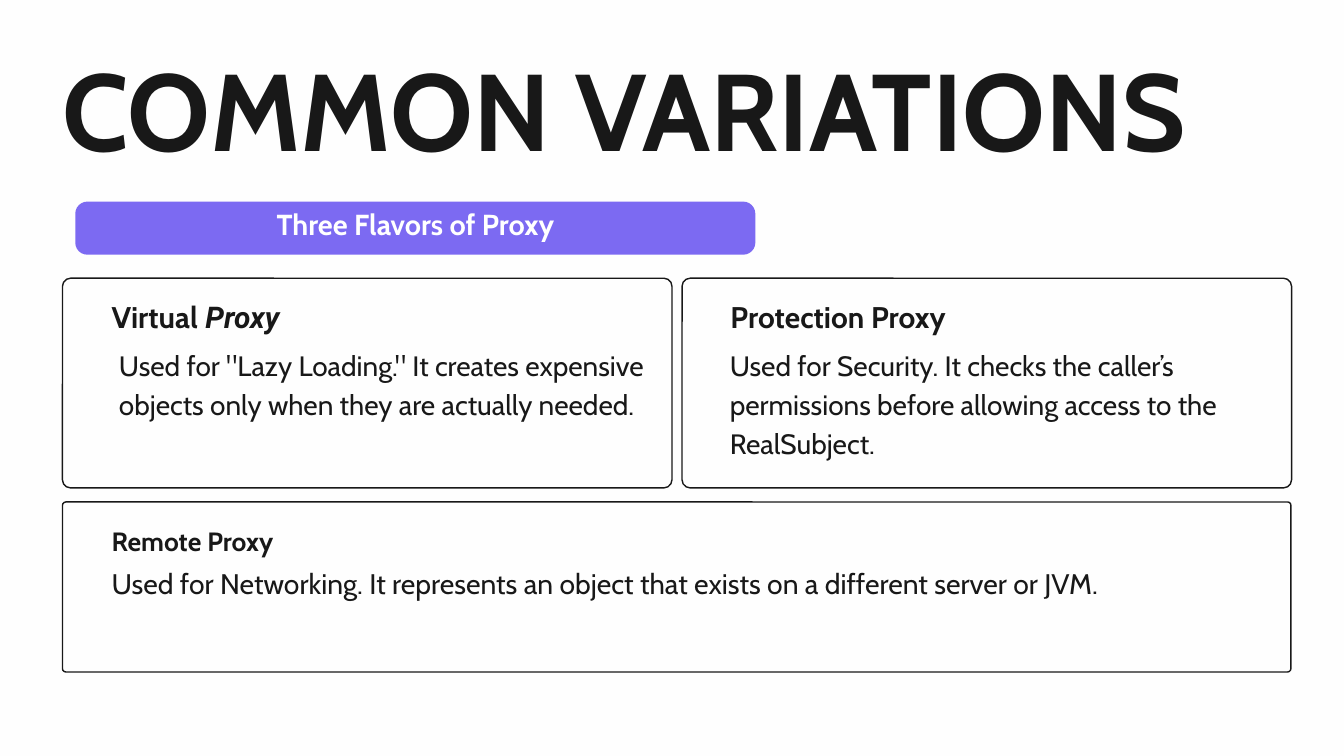
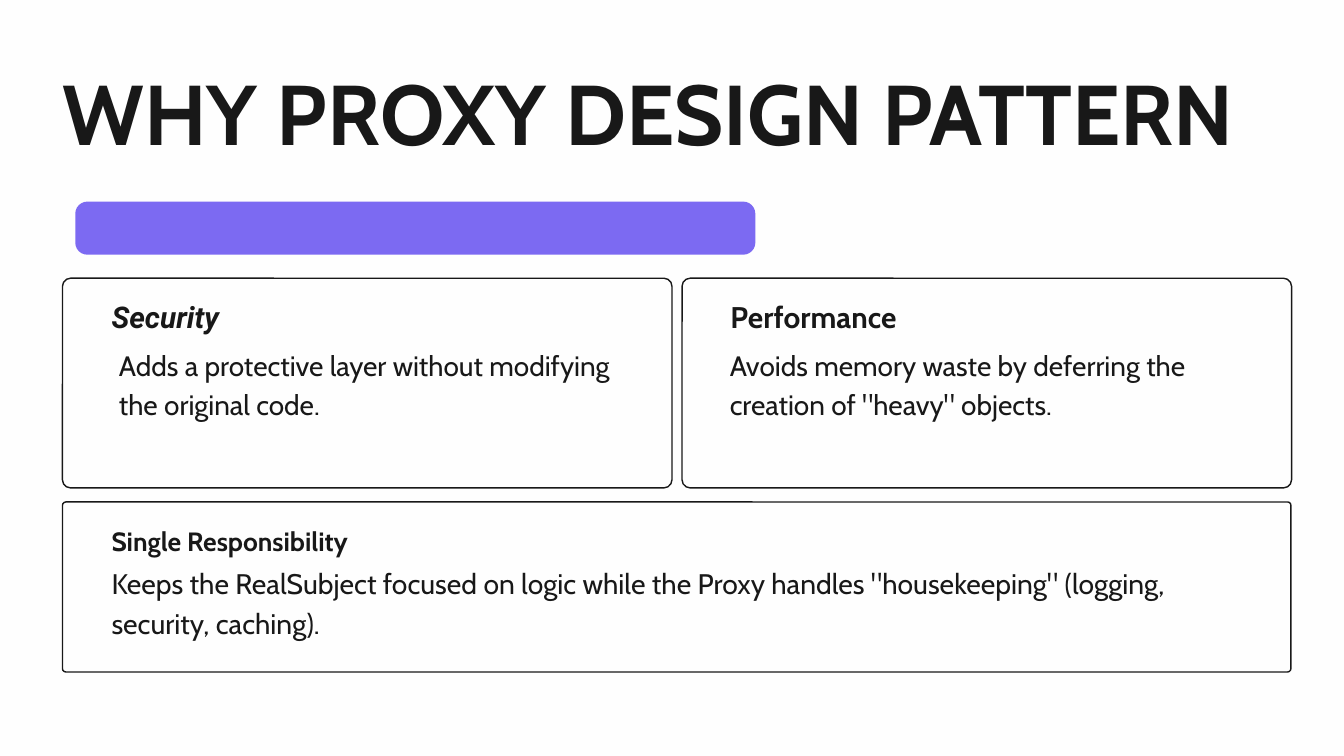
from dataclasses import dataclass

from pptx import Presentation
from pptx.dml.color import RGBColor
from pptx.enum.shapes import MSO_SHAPE
from pptx.enum.text import MSO_ANCHOR, PP_ALIGN
from pptx.util import Inches, Pt

ROUNDED = MSO_SHAPE.ROUNDED_RECTANGLE
LEFT, CENTER = PP_ALIGN.LEFT, PP_ALIGN.CENTER
TOP, MIDDLE = MSO_ANCHOR.TOP, MSO_ANCHOR.MIDDLE

PAPER, INK, PURPLE, WHITE = "FEFEFE", "181818", "7C6AF2", "FFFFFF"
BODY_FONT, ACCENT_FONT = "Cabin", "Roboto"


@dataclass(frozen=True)
class Box:
    left: float
    top: float
    width: float
    height: float


@dataclass(frozen=True)
class TextStyle:
    size: float
    line_spacing: float
    bold: bool = False
    color: str = INK
    align: PP_ALIGN = LEFT
    anchor: MSO_ANCHOR = TOP
    inset: float = 0


@dataclass(frozen=True)
class Run:
    text: str
    accent: bool = False


@dataclass(frozen=True)
class CardLayout:
    frame: Box
    radius: float
    heading_box: Box
    body_box: Box
    heading_style: TextStyle
    body_style: TextStyle


@dataclass(frozen=True)
class Card:
    heading: list[Run]
    body: str


@dataclass(frozen=True)
class SlideContent:
    title: str
    title_box: Box
    title_size: float
    band_text: str
    cards: list[Card]


BAND = Box(1.12, 3, 10.12, 0.79)
BAND_TEXT = Box(1.12, 2.8, 10.12, 0.98)
BAND_RADIUS = 0.18
BAND_STYLE = TextStyle(31, 43.4, True, WHITE, CENTER, MIDDLE, 0.06)

HEADING = TextStyle(32, 44.8, bold=True)
BODY = TextStyle(30, 42)
WIDE_HEADING = TextStyle(28.3, 39.6, bold=True)
WIDE_BODY = TextStyle(30.3, 42.5)

CARD_LAYOUTS = [
    CardLayout(Box(0.93, 4.14, 9.07, 3.12), 0.12, Box(1.66, 4.36, 7.62, 0.59),
               Box(1.77, 5.1, 7.86, 1.73), HEADING, BODY),
    CardLayout(Box(10.15, 4.14, 9.07, 3.12), 0.12, Box(10.87, 4.36, 7.62, 0.59),
               Box(10.86, 5.1, 7.86, 1.73), HEADING, BODY),
    CardLayout(Box(0.93, 7.47, 18.28, 2.53), 0.05, Box(1.66, 7.73, 13.57, 0.52),
               Box(1.66, 8.34, 16.3, 1.14), WIDE_HEADING, WIDE_BODY),
]

SLIDES = [
    SlideContent(
        "COMMON VARIATIONS", Box(0.93, 0.96, 19.86, 1.69), 116.8,
        "Three Flavors of Proxy",
        [
            Card([Run("Virtual"), Run(" Proxy", accent=True)],
                 'Used for "Lazy Loading." It creates expensive objects '
                 "only when they are actually needed."),
            Card([Run("Protection Proxy")],
                 "Used for Security. It checks the caller’s permissions "
                 "before allowing access to the RealSubject."),
            Card([Run("Remote Proxy")],
                 "Used for Networking. It represents an object that exists "
                 "on a different server or JVM."),
        ],
    ),
    SlideContent(
        "WHY PROXY DESIGN PATTERN", Box(0.93, 1.16, 19.07, 1.31), 90.8,
        "",
        [
            Card([Run("Security", accent=True)],
                 "Adds a protective layer without modifying the original code."),
            Card([Run("Performance")],
                 "Avoids memory waste by deferring the creation of "
                 '"heavy" objects.'),
            Card([Run("Single Responsibility")],
                 "Keeps the RealSubject focused on logic while the Proxy "
                 'handles "housekeeping" (logging, security, caching).'),
        ],
    ),
]


def rgb(color: str) -> RGBColor:
    return RGBColor.from_string(color)


def place(box: Box) -> list[int]:
    return [Inches(n) for n in (box.left, box.top, box.width, box.height)]


def add_panel(slide, box: Box, radius: float, fill: str, outline: str = "") -> None:
    """Draw a rounded rectangle whose corner radius is given in inches."""
    shape = slide.shapes.add_shape(ROUNDED, *place(box))
    shape.adjustments[0] = radius / min(box.width, box.height)
    shape.shadow.inherit = False
    shape.fill.solid()
    shape.fill.fore_color.rgb = rgb(fill)
    if outline:
        shape.line.color.rgb = rgb(outline)
        shape.line.width = Pt(1.5)
    else:
        shape.line.fill.background()


def add_text(slide, box: Box, runs: list[Run], style: TextStyle) -> None:
    text_frame = slide.shapes.add_textbox(*place(box)).text_frame
    text_frame.word_wrap = True
    text_frame.vertical_anchor = style.anchor
    text_frame.margin_left = text_frame.margin_right = Inches(style.inset)
    text_frame.margin_top = text_frame.margin_bottom = Inches(style.inset)
    paragraph = text_frame.paragraphs[0]
    paragraph.alignment = style.align
    paragraph.line_spacing = Pt(style.line_spacing)
    for item in runs:
        run = paragraph.add_run()
        run.text = item.text
        run.font.name = ACCENT_FONT if item.accent else BODY_FONT
        run.font.size = Pt(style.size)
        run.font.bold = style.bold
        run.font.italic = item.accent
        run.font.color.rgb = rgb(style.color)


def add_card(slide, layout: CardLayout, card: Card) -> None:
    add_panel(slide, layout.frame, layout.radius, PAPER, INK)
    add_text(slide, layout.heading_box, card.heading, layout.heading_style)
    add_text(slide, layout.body_box, [Run(card.body)], layout.body_style)


def add_slide(presentation, content: SlideContent) -> None:
    slide = presentation.slides.add_slide(presentation.slide_layouts[6])
    slide.background.fill.solid()
    slide.background.fill.fore_color.rgb = rgb(PAPER)
    add_panel(slide, BAND, BAND_RADIUS, PURPLE)
    if content.band_text:
        add_text(slide, BAND_TEXT, [Run(content.band_text)], BAND_STYLE)
    title_style = TextStyle(content.title_size, content.title_size, bold=True)
    add_text(slide, content.title_box, [Run(content.title)], title_style)
    for layout, card in zip(CARD_LAYOUTS, content.cards):
        add_card(slide, layout, card)


def main() -> None:
    presentation = Presentation()
    presentation.slide_width = Inches(20)
    presentation.slide_height = Inches(11.25)
    for content in SLIDES:
        add_slide(presentation, content)
    presentation.save("out.pptx")


if __name__ == "__main__":
    main()
